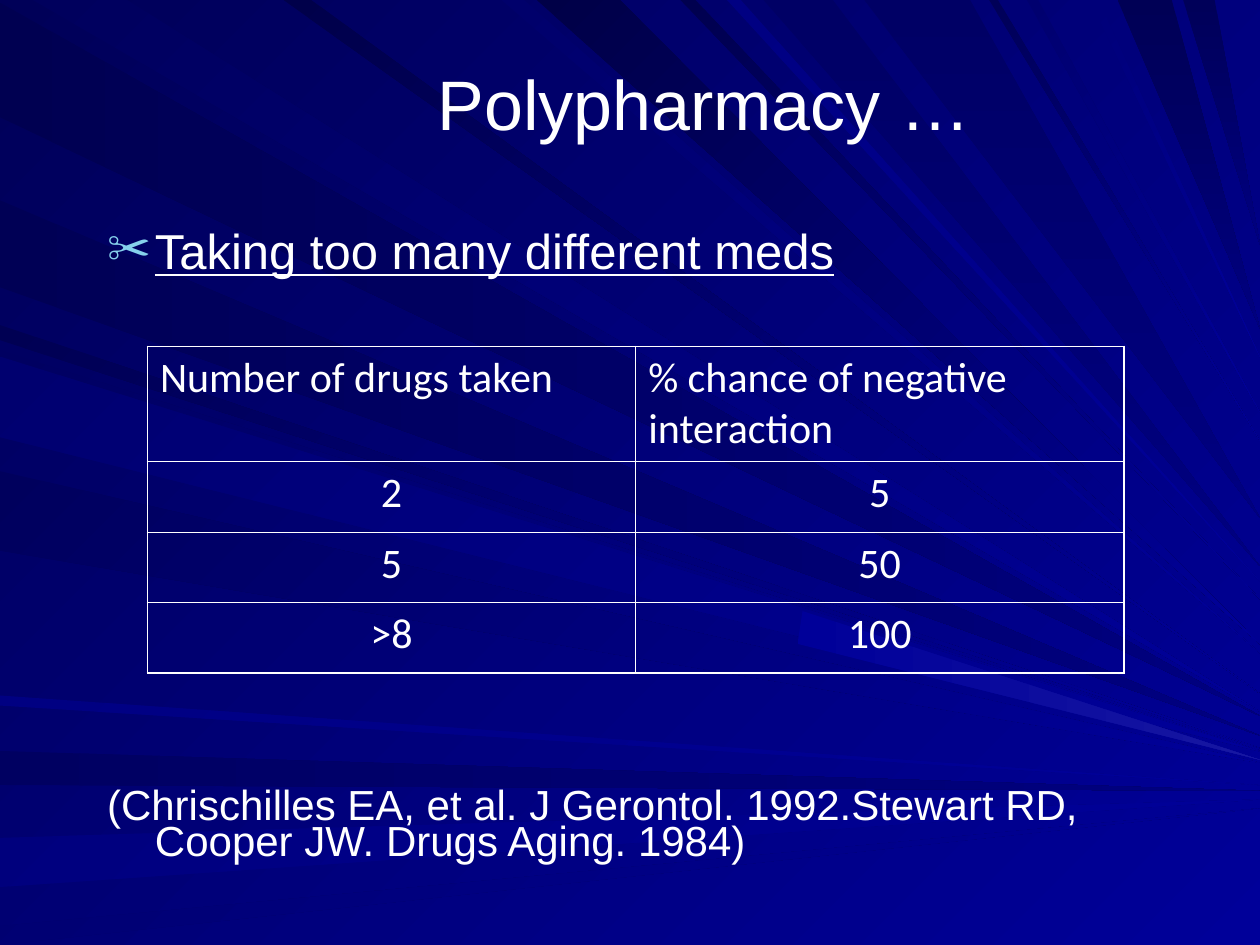
"""Build the polypharmacy slide with its ray background and interaction table."""
from math import sqrt

from lxml import etree
from pptx import Presentation, util as u
from pptx.dml.color import RGBColor
from pptx.enum import text
from pptx.oxml import ns

WHITE = RGBColor(0xFF, 0xFF, 0xFF)
BULLET_BLUE = RGBColor(0x86, 0xD1, 0xEC)
NAVY = RGBColor(0x00, 0x00, 0x58)
BLUE = RGBColor(0x00, 0x00, 0x99)
GLOW = RGBColor(0x17, 0x17, 0xA2)
WIDTH, HEIGHT = 10, 7.5

LEFT_RAYS = [
    (0.02, 0.93, "51", "80"), (5.96, 6.23, "61", "80"), (6.65, 7.04, "7D", "99"),
    (7.35, 7.5, "6F", "99"), (2.58, 2.7, "53", "99"), (1.59, 2.28, "55", "80"),
    (2.78, 3.42, "61", "99"), (3.74, 4.37, "5D", "99"), (5.52, 5.6, "82", "99"),
    (2.83, 3.47, "6F", "99"),
]
TOP_RAYS = [
    (0.26, 1.01, "5D", "99"), (3.98, 4.16, "6B", "99"), (4.26, 4.92, "47", "99"),
    (5.4, 5.52, "4F", "99"), (6.06, 6.61, "65", "80"), (8.87, 9.3, "55", "80"),
    (9.39, 9.64, "59", "80"), (2.25, 2.47, "4A", "99"), (5.77, 5.88, "82", "99"),
    (6.86, 7.7, "65", "80"), (7.85, 7.92, "58", "99"), (8.15, 8.24, "6F", "99"),
    (8.65, 8.72, "79", "99"),
]
ROWS = [
    ("Number of drugs taken", "% chance of negative interaction"),
    ("2", "5"),
    ("5", "50"),
    (">8", "100"),
]
REFERENCE = "(Chrischilles EA, et al. J Gerontol. 1992.Stewart RD, Cooper JW. Drugs Aging. 1984)"


def paint(fill, first, last, angle):
    """Fill with a two-colour gradient at a clockwise angle."""
    fill.gradient()
    fill.gradient_angle = (360 - angle) % 360
    for stop, colour in zip(fill.gradient_stops, (first, last)):
        stop.color.rgb = colour


def write(para, words, **formats):
    """Add a white run of text with the given font values."""
    span = para.add_run()
    span.text = words
    span.font.color.rgb = WHITE
    for name, value in formats.items():
        setattr(span.font, name, value)


deck = Presentation()
deck.slide_width, deck.slide_height = u.Inches(WIDTH), u.Inches(HEIGHT)
page = deck.slides.add_slide(deck.slide_layouts[1])
paint(page.background.fill, NAVY, BLUE, 45)

beams = []
for start, end, first, last in LEFT_RAYS:
    tip = (WIDTH, 5.68 + 0.1 * start)
    colours = [RGBColor.from_string("0000" + shade) for shade in (first, last)]
    beams.append(([(0, start), tip, (0, end)], *colours, 45 if last == "99" else 0))
for start, end, first, last in TOP_RAYS:
    tip = (WIDTH, 5.65 * sqrt(1 - (start / WIDTH) ** 2))
    colours = [RGBColor.from_string("0000" + shade) for shade in (first, last)]
    beams.append(([(start, 0), tip, (end, 0)], *colours, 45 if last == "99" else 90))
beams.append(([(6.33, 5.11), (6.37, 4.85), (WIDTH, 6.03)], BLUE, GLOW, 0))

rays = page.shapes.add_group_shape()
for points, first, last, angle in beams:
    corners = [(u.Inches(x), u.Inches(y)) for x, y in points]
    outline = rays.shapes.build_freeform(*corners[0])
    outline.add_line_segments(corners[1:], close=True)
    ray = outline.convert_to_shape()
    ray.shadow.inherit = False
    ray.line.fill.background()
    paint(ray.fill, first, last, angle)
page.slide_layout.slide_master.shapes.element.insert(2, rays.element)

title, body = page.placeholders
for box, frame in ((title, (1.67, 0.3, 7.83, 1.03)), (body, (0.75, 1.83, 9, 5.17))):
    box.left, box.top, box.width, box.height = map(u.Inches, frame)
    box.text_frame.auto_size = text.MSO_AUTO_SIZE.NONE
title.text_frame.vertical_anchor = text.MSO_ANCHOR.MIDDLE
heading = title.text_frame.paragraphs[0]
heading.alignment = text.PP_ALIGN.CENTER
write(heading, "Polypharmacy …", size=u.Pt(40), name="Arial")

lead = body.text_frame.paragraphs[0]
reference = body.text_frame.add_paragraph()
write(lead, "Taking too many different meds", size=u.Pt(28), name="Arial", underline=True)
write(reference, REFERENCE, size=u.Pt(24), name="Arial")
for para, gap in ((lead, 7), (reference, 294)):
    para.line_spacing = 0.7
    para.space_before = u.Pt(gap)
    settings = para._p.get_or_add_pPr()
    settings.set("marL", str(u.Inches(0.38)))
    settings.set("indent", str(u.Inches(-0.38)))
bullet = lead._p.get_or_add_pPr()
colour = etree.SubElement(bullet, ns.qn("a:buClr"))
etree.SubElement(colour, ns.qn("a:srgbClr"), val=str(BULLET_BLUE))
etree.SubElement(bullet, ns.qn("a:buSzPct"), val="90000")
etree.SubElement(bullet, ns.qn("a:buChar"), char="✂")
etree.SubElement(reference._p.get_or_add_pPr(), ns.qn("a:buNone"))

table = page.shapes.add_table(
    len(ROWS), 2, u.Inches(1.17), u.Inches(2.75), u.Inches(7.75), u.Inches(2.59)
).table
table.first_row = table.horz_banding = False
for r, values in enumerate(ROWS):
    table.rows[r].height = u.Inches(0.56 if r else 0.91)
    for c, value in enumerate(values):
        cell = table.cell(r, c)
        para = cell.text_frame.paragraphs[0]
        para.space_before = u.Pt(6)
        para.alignment = text.PP_ALIGN.CENTER if r else text.PP_ALIGN.LEFT
        write(para, value, size=u.Pt(24), name="Calibri")
        outer = {"lnL": c == 0, "lnR": c == 1, "lnT": r == 0, "lnB": r == len(ROWS) - 1}
        borders = cell._tc.get_or_add_tcPr()
        for side, edge in outer.items():
            line = etree.SubElement(borders, ns.qn(f"a:{side}"), w=str(u.Pt(1.08 if edge else 0.45)))
            ink = etree.SubElement(line, ns.qn("a:solidFill"))
            etree.SubElement(ink, ns.qn("a:srgbClr"), val=str(WHITE))
        cell.fill.background()

deck.save("out.pptx")
